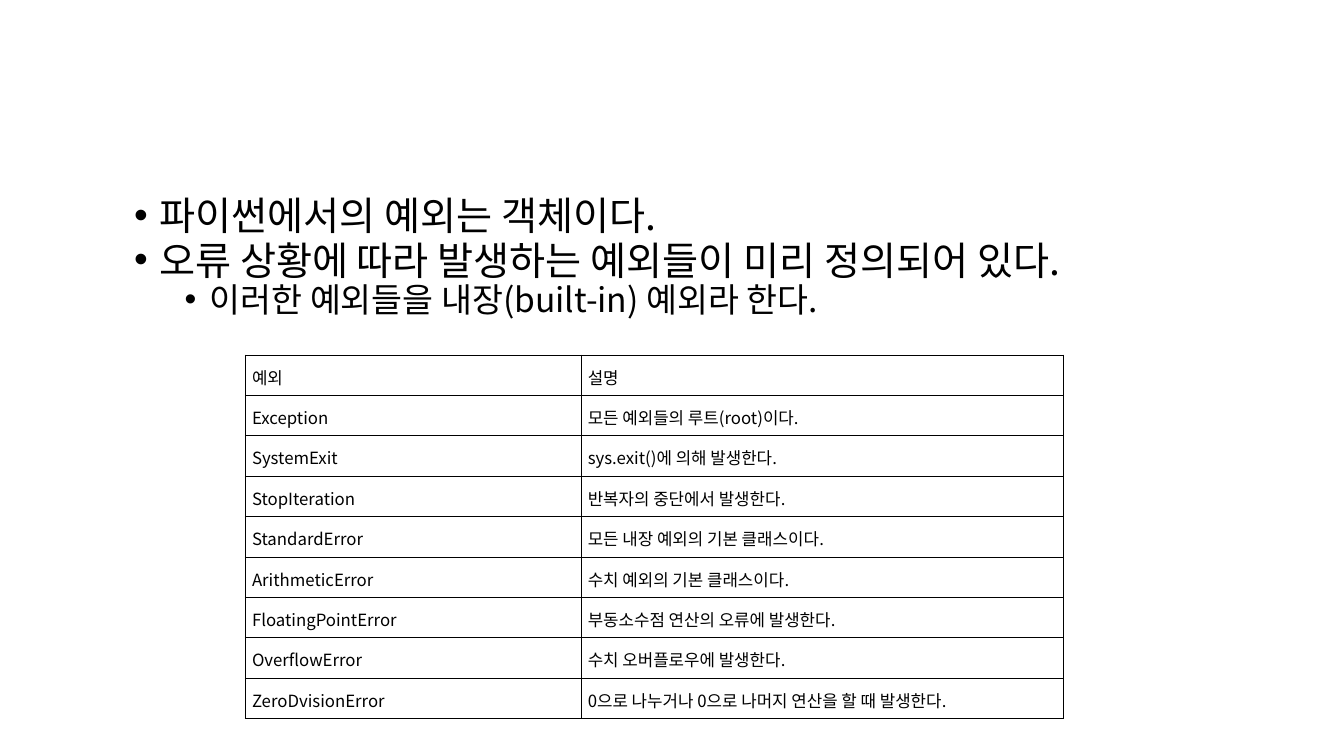
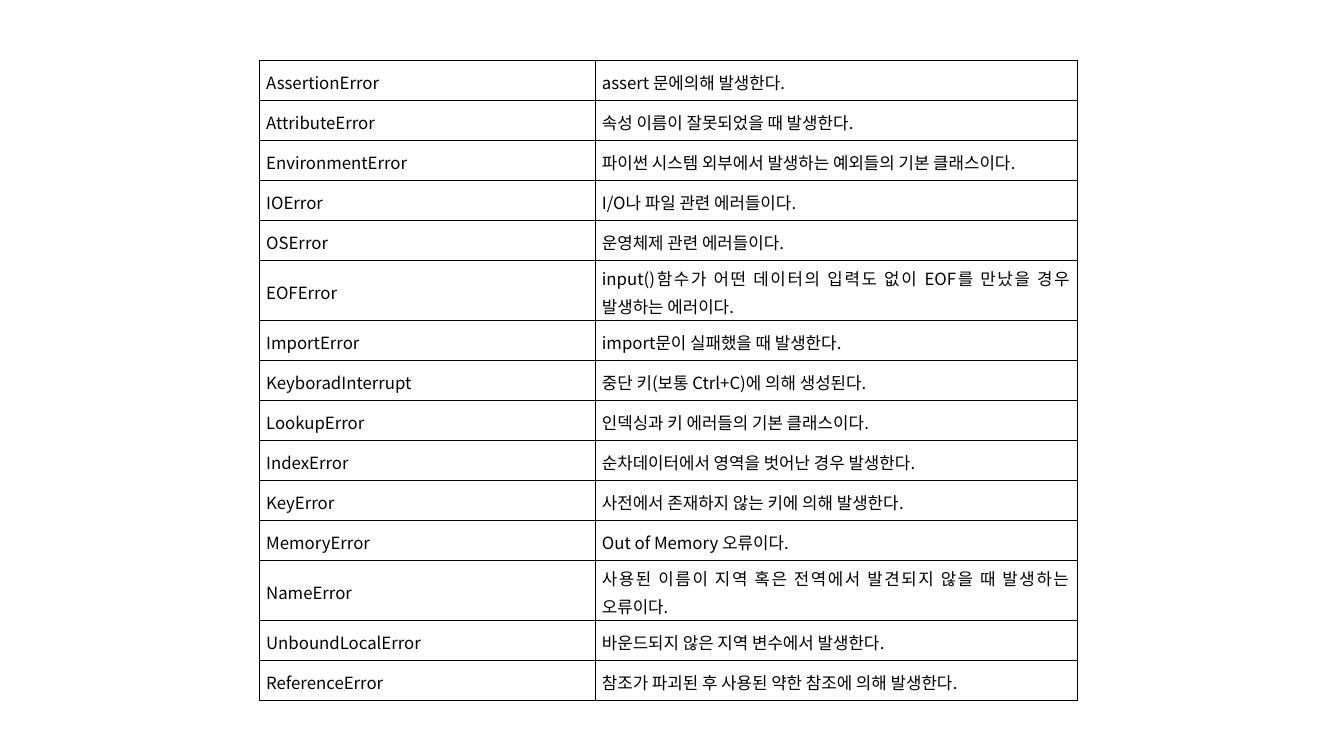
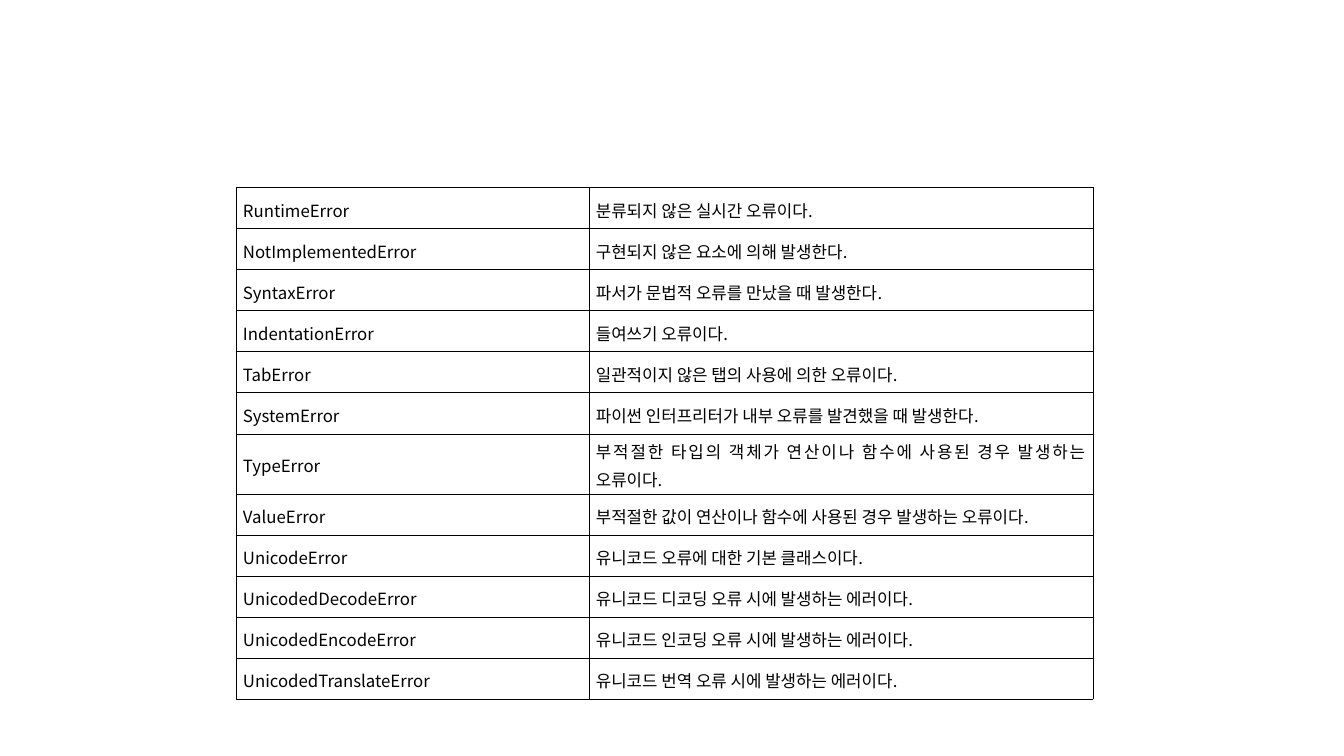
from dataclasses import dataclass

from lxml import etree
from pptx import Presentation
from pptx.dml.color import RGBColor
from pptx.enum.text import MSO_ANCHOR, MSO_AUTO_SIZE, PP_ALIGN
from pptx.oxml.ns import qn
from pptx.util import Inches, Pt

JUSTIFY = PP_ALIGN.JUSTIFY
MIDDLE = MSO_ANCHOR.MIDDLE
TOP = MSO_ANCHOR.TOP
NO_AUTOFIT = MSO_AUTO_SIZE.NONE
BODY_LAYOUT, BLANK_LAYOUT = 1, 6


@dataclass(frozen=True)
class Theme:
    font: str = "Noto Sans CJK KR"
    ink: str = "000000"
    bullet_sizes: tuple = (28, 24)
    bullet_space_before: tuple = (5, 2.5)
    bullet_indents: tuple = (0.25, 0.75)
    bullet_line_spacing: float = 0.8
    cell_size: float = 12
    cell_line_spacing: float = 1.15
    cell_space_after: float = 20
    border_width: float = 0.28
    tall_row: float = 0.59


THEME = Theme()

# Content: (level, text) bullets and (exception, description) rows
BULLETS = [
    (0, "파이썬에서의 예외는 객체이다."),
    (0, "오류 상황에 따라 발생하는 예외들이 미리 정의되어 있다."),
    (1, "이러한 예외들을 내장(built-in) 예외라 한다."),
]

BASE_EXCEPTIONS = [
    ("예외", "설명"),
    ("Exception", "모든 예외들의 루트(root)이다."),
    ("SystemExit", "sys.exit()에 의해 발생한다."),
    ("StopIteration", "반복자의 중단에서 발생한다."),
    ("StandardError", "모든 내장 예외의 기본 클래스이다."),
    ("ArithmeticError", "수치 예외의 기본 클래스이다."),
    ("FloatingPointError", "부동소수점 연산의 오류에 발생한다."),
    ("OverflowError", "수치 오버플로우에 발생한다."),
    ("ZeroDvisionError", "0으로 나누거나 0으로 나머지 연산을 할 때 발생한다."),
]

LOOKUP_EXCEPTIONS = [
    ("AssertionError", "assert 문에의해 발생한다."),
    ("AttributeError", "속성 이름이 잘못되었을 때 발생한다."),
    ("EnvironmentError", "파이썬 시스템 외부에서 발생하는 예외들의 기본 클래스이다."),
    ("IOError", "I/O나 파일 관련 에러들이다."),
    ("OSError", "운영체제 관련 에러들이다."),
    ("EOFError", "input()함수가 어떤 데이터의 입력도 없이 EOF를 만났을 경우 발생하는 에러이다."),
    ("ImportError", "import문이 실패했을 때 발생한다."),
    ("KeyboradInterrupt", "중단 키(보통 Ctrl+C)에 의해 생성된다."),
    ("LookupError", "인덱싱과 키 에러들의 기본 클래스이다."),
    ("IndexError", "순차데이터에서 영역을 벗어난 경우 발생한다."),
    ("KeyError", "사전에서 존재하지 않는 키에 의해 발생한다."),
    ("MemoryError", "Out of Memory 오류이다."),
    ("NameError", "사용된 이름이 지역 혹은 전역에서 발견되지 않을 때 발생하는 오류이다."),
    ("UnboundLocalError", "바운드되지 않은 지역 변수에서 발생한다."),
    ("ReferenceError", "참조가 파괴된 후 사용된 약한 참조에 의해 발생한다."),
]

RUNTIME_EXCEPTIONS = [
    ("RuntimeError", "분류되지 않은 실시간 오류이다."),
    ("NotImplementedError", "구현되지 않은 요소에 의해 발생한다."),
    ("SyntaxError", "파서가 문법적 오류를 만났을 때 발생한다."),
    ("IndentationError", "들여쓰기 오류이다."),
    ("TabError", "일관적이지 않은 탭의 사용에 의한 오류이다."),
    ("SystemError", "파이썬 인터프리터가 내부 오류를 발견했을 때 발생한다."),
    ("TypeError", "부적절한 타입의 객체가 연산이나 함수에 사용된 경우 발생하는 오류이다."),
    ("ValueError", "부적절한 값이 연산이나 함수에 사용된 경우 발생하는 오류이다."),
    ("UnicodeError", "유니코드 오류에 대한 기본 클래스이다."),
    ("UnicodedDecodeError", "유니코드 디코딩 오류 시에 발생하는 에러이다."),
    ("UnicodedEncodeError", "유니코드 인코딩 오류 시에 발생하는 에러이다."),
    ("UnicodedTranslateError", "유니코드 번역 오류 시에 발생하는 에러이다."),
]

# Each slide: bullets, table rows, two-line rows, left, top, height, columns
SLIDES = [
    (BULLETS, BASE_EXCEPTIONS, (), 2.43, 3.52, 3.61, (3.33, 4.78)),
    ([], LOOKUP_EXCEPTIONS, ("EOFError", "NameError"), 2.57, 0.6, 6.34, (3.33, 4.78)),
    ([], RUNTIME_EXCEPTIONS, ("TypeError",), 2.34, 1.86, 5.07, (3.5, 5.0)),
]


def style_text(paragraph, size):
    """Set the font for both Latin and Korean letters."""
    font = paragraph.font
    font.size = Pt(size)
    font.color.rgb = RGBColor.from_string(THEME.ink)
    font.name = THEME.font
    defaults = paragraph._p.pPr.find(qn("a:defRPr"))
    etree.SubElement(defaults, qn("a:ea"), typeface=THEME.font)


def add_bullets(slide, bullets):
    body = slide.placeholders[1]
    body.left, body.top = Inches(1.23), Inches(1.94)
    body.width, body.height = Inches(10.99), Inches(1.5)
    frame = body.text_frame
    frame.auto_size = NO_AUTOFIT
    frame.vertical_anchor = TOP
    frame.text = "\n".join(text for _, text in bullets)
    for paragraph, (level, _) in zip(frame.paragraphs, bullets):
        paragraph.level = level
        paragraph.line_spacing = THEME.bullet_line_spacing
        paragraph.space_before = Pt(THEME.bullet_space_before[level])
        properties = paragraph._p.get_or_add_pPr()
        properties.set("marL", str(Inches(THEME.bullet_indents[level])))
        properties.set("indent", str(-Inches(0.25)))
        etree.SubElement(properties, qn("a:buFont"), typeface="Arial")
        etree.SubElement(properties, qn("a:buChar"), char="•")
        style_text(paragraph, THEME.bullet_sizes[level])


def add_borders(cell):
    properties = cell._tc.get_or_add_tcPr()
    for position, side in enumerate(("a:lnL", "a:lnR", "a:lnT", "a:lnB")):
        line = etree.Element(qn(side), w=str(Pt(THEME.border_width)))
        fill = etree.SubElement(line, qn("a:solidFill"))
        etree.SubElement(fill, qn("a:srgbClr"), val=THEME.ink)
        properties.insert(position, line)


def fill_cell(cell, text):
    cell.fill.background()
    cell.vertical_anchor = MIDDLE
    cell.margin_left = cell.margin_right = Inches(0.07)
    cell.margin_top = cell.margin_bottom = Inches(0.02)
    cell.text = text
    paragraph = cell.text_frame.paragraphs[0]
    paragraph.alignment = JUSTIFY
    paragraph.line_spacing = THEME.cell_line_spacing
    paragraph.space_after = Pt(THEME.cell_space_after)
    style_text(paragraph, THEME.cell_size)
    add_borders(cell)


def add_exception_table(slide, rows, tall_names, left, top, height, columns):
    table = slide.shapes.add_table(
        len(rows), len(columns), Inches(left), Inches(top),
        Inches(sum(columns)), Inches(height)).table
    table.first_row = table.horz_banding = False
    for column, width in zip(table.columns, columns):
        column.width = Inches(width)
    # Single-line rows share what the two-line rows leave
    tall_total = THEME.tall_row * len(tall_names)
    single_row = (height - tall_total) / (len(rows) - len(tall_names))
    for table_row, texts in zip(table.rows, rows):
        is_tall = texts[0] in tall_names
        table_row.height = Inches(THEME.tall_row if is_tall else single_row)
        for cell, text in zip(table_row.cells, texts):
            fill_cell(cell, text)


def main():
    presentation = Presentation()
    presentation.slide_width = Inches(13.33)
    presentation.slide_height = Inches(7.5)
    for bullets, *table_parts in SLIDES:
        layout = BODY_LAYOUT if bullets else BLANK_LAYOUT
        slide = presentation.slides.add_slide(presentation.slide_layouts[layout])
        if bullets:
            title = slide.shapes.title
            title.element.getparent().remove(title.element)
            add_bullets(slide, bullets)
        add_exception_table(slide, *table_parts)
    presentation.save("out.pptx")


if __name__ == "__main__":
    main()
